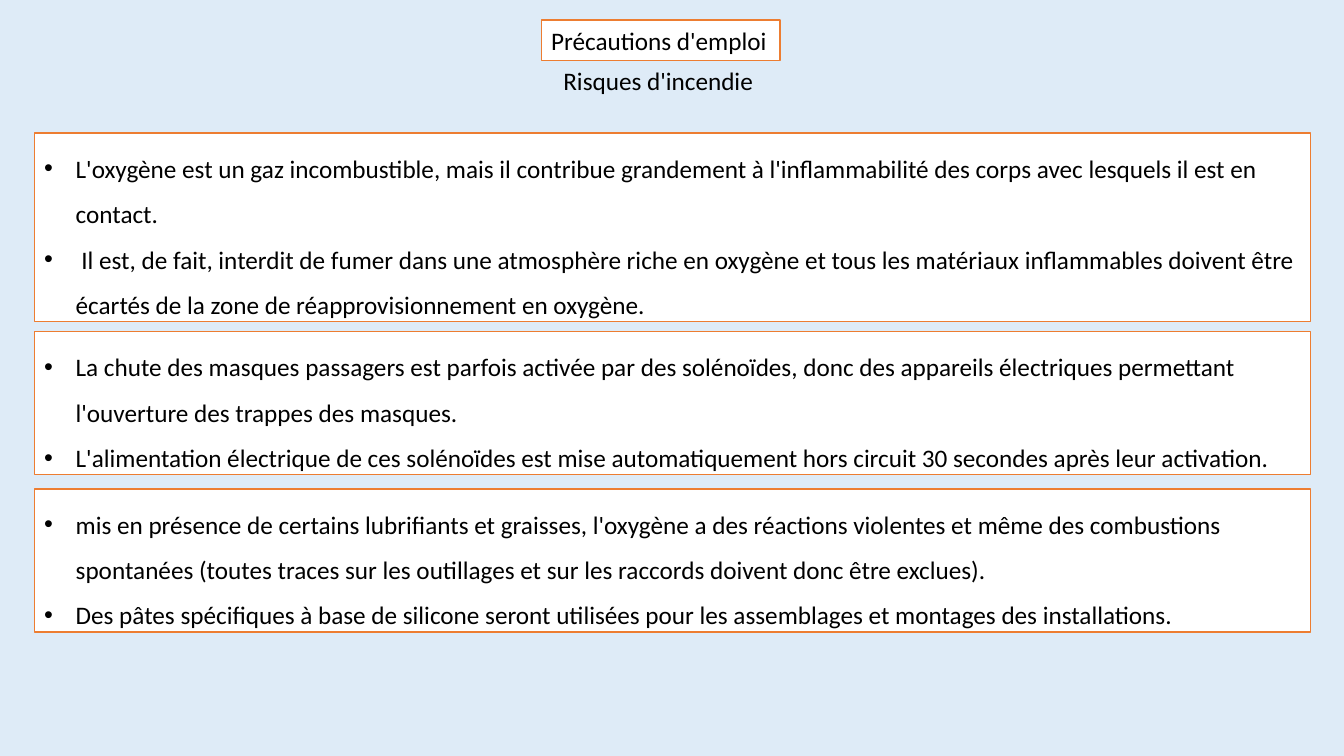
from pptx import Presentation
from pptx.dml.color import RGBColor as RGB
from pptx.enum.text import MSO_ANCHOR as Anchor, MSO_AUTO_SIZE as AutoSize
from pptx.oxml.ns import qn
from pptx.util import Pt
from lxml.etree import SubElement

HEADINGS = [
    {"wording": "Précautions d'emploi", "left": 386.64, "top": 14.4, "width": 170.64, "framed": True},
    {"wording": "Risques d'incendie", "left": 395.28, "top": 43.2, "width": 151.92, "framed": False},
]
PRECAUTIONS = [
    {"top": 95.04, "lines": 4, "points": [
        "L'oxygène est un gaz incombustible, mais il contribue grandement à l'inflammabilité "
        "des corps avec lesquels il est en contact.",
        " Il est, de fait, interdit de fumer dans une atmosphère riche en oxygène et tous les "
        "matériaux inflammables doivent être écartés de la zone de réapprovisionnement en oxygène.",
    ]},
    {"top": 236.88, "lines": 3, "points": [
        "La chute des masques passagers est parfois activée par des solénoïdes, donc des appareils "
        "électriques permettant l'ouverture des trappes des masques.",
        "L'alimentation électrique de ces solénoïdes est mise automatiquement hors circuit "
        "30 secondes après leur activation.",
    ]},
    {"top": 349.2, "lines": 3, "points": [
        "mis en présence de certains lubrifiants et graisses, l'oxygène a des réactions violentes et "
        "même des combustions spontanées (toutes traces sur les outillages et sur les raccords "
        "doivent donc être exclues).",
        "Des pâtes spécifiques à base de silicone seront utilisées pour les assemblages et montages "
        "des installations.",
    ]},
]
THEME = {
    "background": RGB.from_string("DEEBF7"),
    "panel": RGB.from_string("FFFFFF"),
    "border": RGB.from_string("ED7D31"),
    "ink": RGB.from_string("000000"),
    "font": "Calibri",
    "size": Pt(18),
    "border_width": Pt(1),
}
PANEL_LEFT, PANEL_WIDTH = 24.48, 911.52
LINE_HEIGHT, PANEL_PADDING = 32.4, 5.04
HEADING_HEIGHT = 28.8
INDENT = Pt(22.5)


def add_bullet(paragraph):
    properties = paragraph._p.get_or_add_pPr()
    properties.set("marL", str(INDENT))
    properties.set("indent", str(-INDENT))
    SubElement(properties, qn("a:buFont"), typeface="Arial")
    SubElement(properties, qn("a:buChar"), char="•")
    paragraph.line_spacing = 1.5


def add_box(slide, left, top, width, height, wordings, framed=True, bulleted=False):
    box = slide.shapes.add_textbox(Pt(left), Pt(top), Pt(width), Pt(height))
    if framed:
        box.fill.solid()
        box.fill.fore_color.rgb = THEME["panel"]
        box.line.color.rgb = THEME["border"]
        box.line.width = THEME["border_width"]
    frame = box.text_frame
    frame.word_wrap = bulleted
    frame.auto_size = AutoSize.SHAPE_TO_FIT_TEXT
    frame.vertical_anchor = Anchor.TOP
    for position, wording in enumerate(wordings):
        paragraph = frame.add_paragraph() if position else frame.paragraphs[0]
        paragraph.text = wording
        if bulleted:
            add_bullet(paragraph)
        paragraph.font.name = THEME["font"]
        paragraph.font.size = THEME["size"]
        paragraph.font.color.rgb = THEME["ink"]


def main():
    deck = Presentation()
    deck.slide_width, deck.slide_height = Pt(960), Pt(540)
    slide = deck.slides.add_slide(deck.slide_layouts[6])
    slide.background.fill.solid()
    slide.background.fill.fore_color.rgb = THEME["background"]
    for heading in HEADINGS:
        add_box(slide, heading["left"], heading["top"], heading["width"], HEADING_HEIGHT,
                [heading["wording"]], framed=heading["framed"])
    for panel in PRECAUTIONS:
        height = panel["lines"] * LINE_HEIGHT + PANEL_PADDING
        add_box(slide, PANEL_LEFT, panel["top"], PANEL_WIDTH, height, panel["points"], bulleted=True)
    deck.save("out.pptx")


if __name__ == "__main__":
    main()
